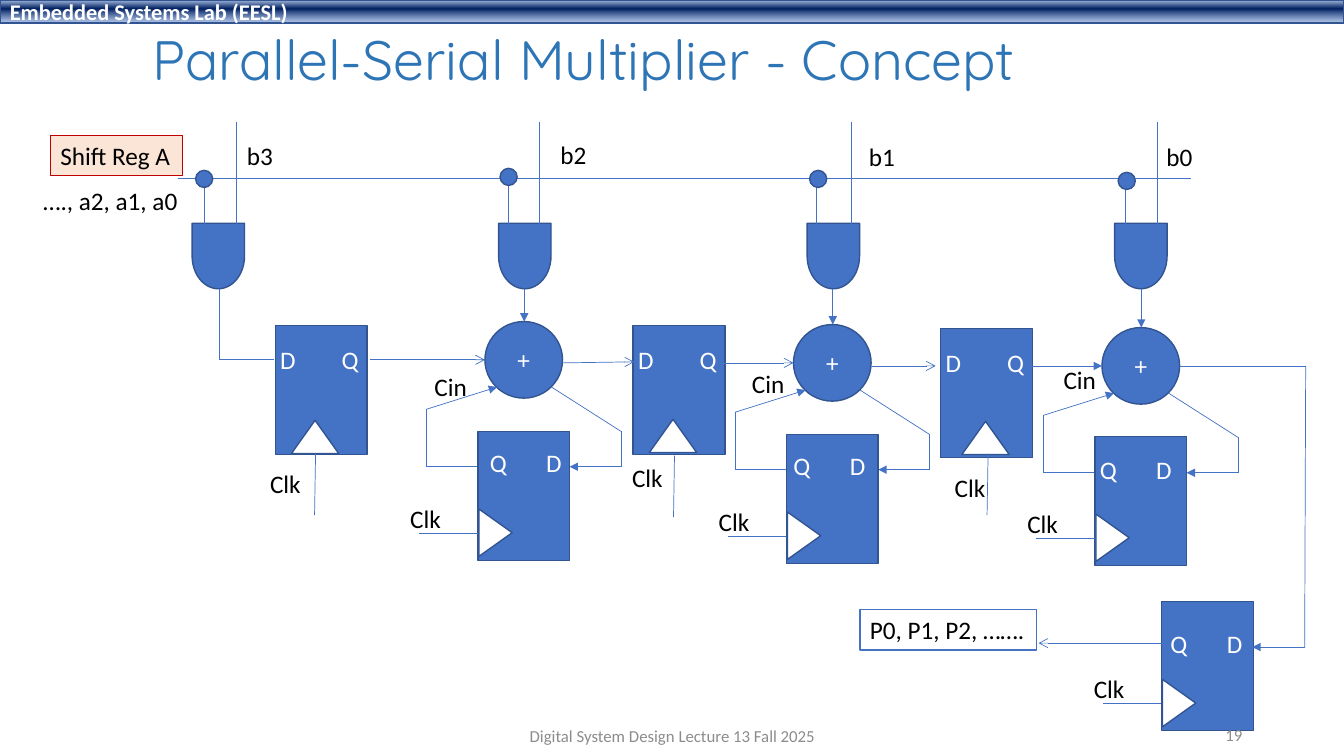
from lxml import etree
from pptx import Presentation, util as u
from pptx.dml.color import RGBColor
from pptx.enum import shapes, text
from pptx.oxml import parse_xml
from pptx.oxml.ns import nsdecls, qn

ink = RGBColor.from_string
KIND = shapes.MSO_SHAPE
LEFT, MID, RIGHT = text.PP_ALIGN.LEFT, text.PP_ALIGN.CENTER, text.PP_ALIGN.RIGHT
BLUE, EDGE, WHITE, BLACK, GREY = "4472C4", "325491", "FFFFFF", "000000", "8C8C8C"
CELL = u.Inches(1)

deck = Presentation()
deck.slide_width, deck.slide_height = int(13.33 * CELL), int(7.5 * CELL)
slide = deck.slides.add_slide(deck.slide_layouts[5])
parts = slide.shapes


def put(kind, x, y, w, h, words="", tone=BLACK, fill=BLUE, edge=EDGE, width=1,
        turn=0, size=18, align=LEFT, tab=0, mid=False):
    spot = [int(v * CELL) for v in (x, y, w, h)]
    if kind is None:
        item = parts.add_textbox(*spot)
    else:
        item = parts.add_shape(kind, *spot)
        item.shadow.inherit = False
        item.fill.solid()
        item.fill.fore_color.rgb = ink(fill)
        item.line.color.rgb = ink(edge)
        item.line.width = u.Pt(width)
        item.rotation = turn
    if words:
        frame = item.text_frame
        frame.word_wrap = bool(tab or mid)
        frame.vertical_anchor = text.MSO_ANCHOR.MIDDLE if mid else text.MSO_ANCHOR.TOP
        para = frame.paragraphs[0]
        para.text = words
        para.alignment = align
        if tab:
            frame.margin_right = 0
            stops = etree.SubElement(para._p.get_or_add_pPr(), qn("a:tabLst"))
            etree.SubElement(stops, qn("a:tab"), pos=str(int(tab * CELL)), algn="l")
        para.font.name = "Calibri"
        para.font.size = u.Pt(size)
        para.font.color.rgb = ink(tone)
    return item


def wire(*points, head=None):
    for n, (a, b) in enumerate(zip(points, points[1:]), 2):
        ends = [int(v * CELL) for v in (*a, *b)]
        line = parts.add_connector(shapes.MSO_CONNECTOR.STRAIGHT, *ends)
        line.line.color.rgb = ink(BLUE)
        line.line.width = u.Pt(0.5)
        props = line.element.spPr
        if head and n == len(points):
            etree.SubElement(props.find(qn("a:ln")), qn("a:tailEnd"), type=head)
        etree.SubElement(props, qn("a:effectLst"))


title = parts.title
title.left, title.top, title.width, title.height = [
    int(v * CELL) for v in (1.41, 0.25, 9.9, 0.75)]
title.text_frame.text = "Parallel-Serial Multiplier - Concept"
title.text_frame.auto_size = text.MSO_AUTO_SIZE.NONE
title.text_frame.vertical_anchor = text.MSO_ANCHOR.MIDDLE
para = title.text_frame.paragraphs[0]
para.alignment = LEFT
para.line_spacing = 0.9
para.font.name = "Quicksand"
para.font.size = u.Pt(39.6)
para.font.color.rgb = ink("2E75B6")

bar = put(KIND.RECTANGLE, 0, 0, 13.33, 0.23, "Embedded Systems Lab (EESL)",
          WHITE, size=16, mid=True)
bar.text_frame.paragraphs[0].font.bold = True
bar.element.spPr.replace(bar.element.spPr.find(qn("a:solidFill")), parse_xml(
    f'<a:gradFill {nsdecls("a")} rotWithShape="1"><a:gsLst>'
    '<a:gs pos="2000"><a:srgbClr val="ABC0E4"/></a:gs>'
    '<a:gs pos="38000"><a:srgbClr val="002060"/></a:gs>'
    '<a:gs pos="93000"><a:srgbClr val="7E9ED6"><a:alpha val="64000"/></a:srgbClr></a:gs>'
    '</a:gsLst><a:lin ang="5400000" scaled="0"/></a:gradFill>'))

wire((1.77, 1.77), (11.81, 1.77))
put(KIND.RECTANGLE, 0.5, 1.34, 1.31, 0.4, "Shift Reg A", fill="FBE5D6",
    edge="C00000", width=0.75)
put(None, 0.33, 1.79, 1.55, 0.4, "…., a2, a1, a0")

bits = [
    ("b3", 1.84, 2.03, 2.34, 1.94, 1.69, 2.35, 1.34),
    ("b2", 4.88, 5.04, 5.35, 4.96, 1.67, 5.46, 1.33),
    ("b1", 7.94, 8.1, 8.44, 8.03, 1.69, 8.52, 1.35),
    ("b0", 10.99, 11.16, 11.48, 11.09, 1.71, 11.47, 1.35),
]
for name, gate, tap, drop, dot, high, x, y in bits:
    put(KIND.FLOWCHART_DELAY, gate, 2.28, 0.65, 0.52, turn=90)
    wire((drop, 1.21), (drop, 2.22))
    wire((tap, 1.77), (tap, 2.22))
    put(KIND.OVAL, dot, high, 0.17, 0.17)
    put(None, x, y, 0.46, 0.4, name)

for k, (x, y) in enumerate([(4.21, 3.63), (7.36, 3.6), (10.45, 3.57)]):
    left, top = 4.81 + 3.06 * k, 3.19 + 0.03 * k
    put(KIND.OVAL, left, top, 0.77, 0.76, "+", WHITE, align=MID, mid=True)
    wire((left + 0.39, 2.87), (left + 0.39, top), head="triangle")
    carry = [(0.66, 0.65), (1.35, 1.09), (1.35, 1.44), (0.84, 1.44)]
    back = [(-0.07, 1.44), (-0.58, 1.44), (-0.58, 0.87), (0.12, 0.65)]
    for path in (carry, back):
        wire(*[(left + dx, top + dy) for dx, dy in path], head="triangle")
    put(None, x, y, 0.53, 0.4, "Cin")

delays = [
    (2.73, 3.23, 2.89, 4.17, 3.13, 4.5, 2.58, 4.6),
    (6.28, 3.23, 6.44, 4.16, 6.69, 4.52, 6.17, 4.54),
    (9.33, 3.26, 9.54, 4.18, 9.8, 4.5, 9.37, 4.64),
]
for left, top, tip, low, pin, foot, x, y in delays:
    put(KIND.RECTANGLE, left, top, 0.91, 1.28)
    put(KIND.ISOSCELES_TRIANGLE, tip, low, 0.47, 0.33, fill=WHITE)
    put(None, left - 0.05, top + 0.14, 0.99, 0.4, "D\tQ", WHITE, tab=0.61)
    wire((pin, foot), (pin - 0.01, foot + 0.61))
    put(None, x, y, 0.51, 0.4, "Clk")

stores = [
    (4.74, 4.28, 4.76, 4.39),
    (7.8, 4.31, 7.77, 4.42),
    (10.86, 4.33, 10.81, 4.46),
    (11.52, 5.97, 11.51, 6.18),
]
for left, top, x, y in stores:
    put(KIND.RECTANGLE, left, top, 0.91, 1.28)
    put(KIND.ISOSCELES_TRIANGLE, left - 0.06, top + 0.84, 0.47, 0.33, fill=WHITE, turn=90)
    put(None, x, y, 0.93, 0.4, "Q\tD", WHITE, tab=0.56)
    wire((left, top + 1.01), (left - 0.58, top + 1.01))
    put(None, left - 0.77, top + 0.66, 0.51, 0.4, "Clk")

wire((2.18, 2.87), (2.18, 3.57), (2.72, 3.57))
wire((3.67, 3.57), (4.81, 3.57), head="arrow")
wire((5.58, 3.6), (6.29, 3.59), head="arrow")
wire((7.16, 3.6), (7.87, 3.6), head="arrow")
wire((8.65, 3.63), (9.28, 3.63), head="arrow")
wire((10.23, 3.63), (10.93, 3.63), head="triangle")
wire((11.7, 3.63), (12.95, 3.63), (12.94, 6.42), (12.42, 6.42), head="triangle")
wire((11.58, 6.38), (10.3, 6.38), head="arrow")
put(KIND.RECTANGLE, 8.53, 6.05, 1.75, 0.4, "P0, P1, P2, …….", fill=WHITE, edge=BLUE)

put(None, 4.42, 7.1, 4.5, 0.4, "Digital System Design Lecture 13 Fall 2025",
    GREY, size=12, align=MID, mid=True)
put(None, 9.42, 7.09, 3, 0.4, "19", GREY, size=12, align=RIGHT, mid=True)

deck.save("out.pptx")
